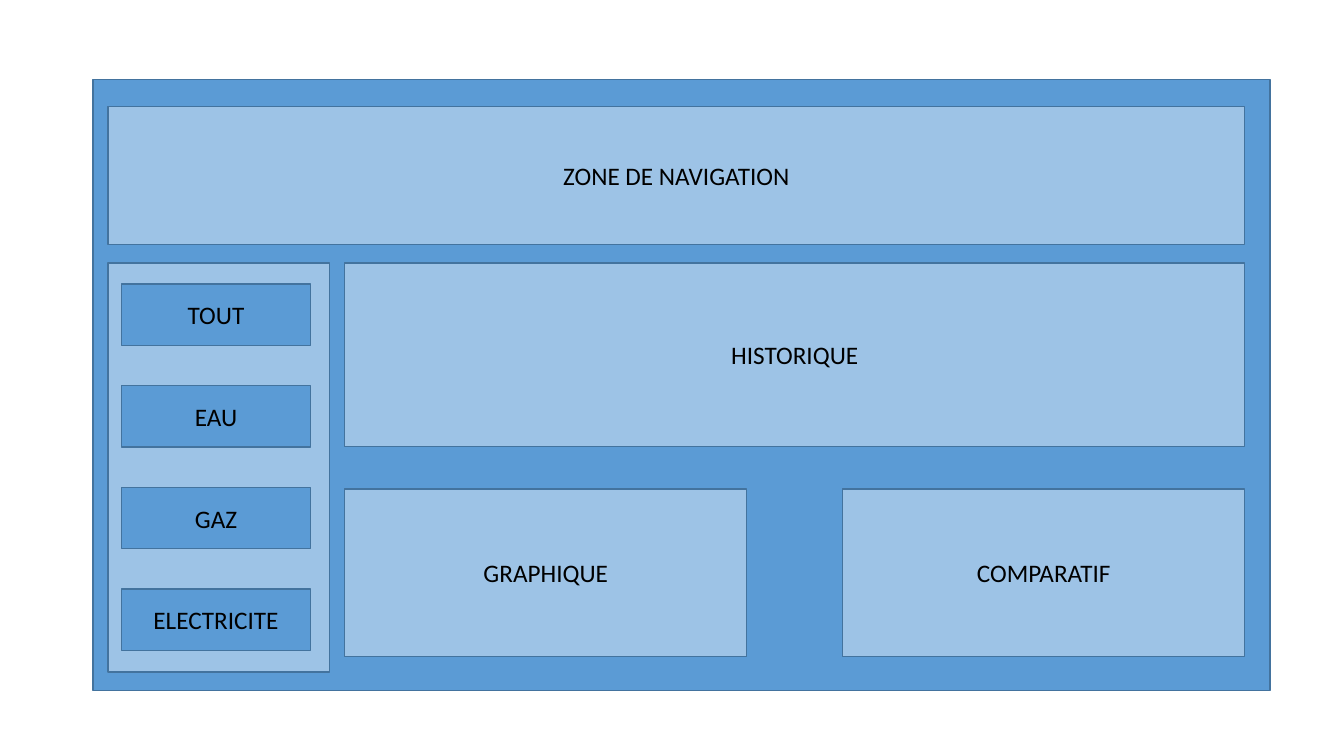
from pptx import Presentation
from pptx.dml.color import RGBColor
from pptx.enum.shapes import MSO_SHAPE
from pptx.enum.text import MSO_ANCHOR, PP_ALIGN
from pptx.util import Cm, Pt

# Content
NAVIGATION = "ZONE DE NAVIGATION"
FILTERS = ["TOUT", "EAU", "GAZ", "ELECTRICITE"]
HISTORY = "HISTORIQUE"
DETAILS = ["GRAPHIQUE", "COMPARATIF"]

COLORS = {"frame": "5B9BD5", "zone": "9DC3E6", "border": "43739E", "text": "000000"}

# Layout, in centimetres
LEFT, RIGHT = 2.72, 31.37
MAIN_LEFT = 8.69
MIDDLE_TOP = 6.63
FILTER_TOP, FILTER_PITCH = 7.16, 2.56
DETAIL_WIDTH = 10.13

prs = Presentation()
prs.slide_width, prs.slide_height = Cm(33.87), Cm(19.05)
slide = prs.slides.add_slide(prs.slide_layouts[6])


def add_box(left, top, width, height, color, label=""):
    box = slide.shapes.add_shape(
        MSO_SHAPE.RECTANGLE, Cm(left), Cm(top), Cm(width), Cm(height))
    box.shadow.inherit = False
    box.fill.solid()
    box.fill.fore_color.rgb = RGBColor.from_string(COLORS[color])
    box.line.color.rgb = RGBColor.from_string(COLORS["border"])
    box.line.width = Pt(1)
    if label:
        box.text_frame.vertical_anchor = MSO_ANCHOR.MIDDLE
        paragraph = box.text_frame.paragraphs[0]
        paragraph.text = label
        paragraph.alignment = PP_ALIGN.CENTER
        paragraph.font.name = "Calibri"
        paragraph.font.size = Pt(18)
        paragraph.font.color.rgb = RGBColor.from_string(COLORS["text"])


# Page frame and navigation
add_box(2.34, 2.01, 29.67, 15.39, "frame")
add_box(LEFT, 2.69, RIGHT - LEFT, 3.48, "zone", NAVIGATION)

# Side menu with its filters
add_box(LEFT, MIDDLE_TOP, 5.59, 10.31, "zone")
for row, label in enumerate(FILTERS):
    add_box(3.07, FILTER_TOP + row * FILTER_PITCH, 4.75, 1.55, "frame", label)

# History above the two detail zones
add_box(MAIN_LEFT, MIDDLE_TOP, RIGHT - MAIN_LEFT, 4.62, "zone", HISTORY)
for left, label in zip((MAIN_LEFT, RIGHT - DETAIL_WIDTH), DETAILS):
    add_box(left, 12.32, DETAIL_WIDTH, 4.22, "zone", label)

prs.save("out.pptx")
